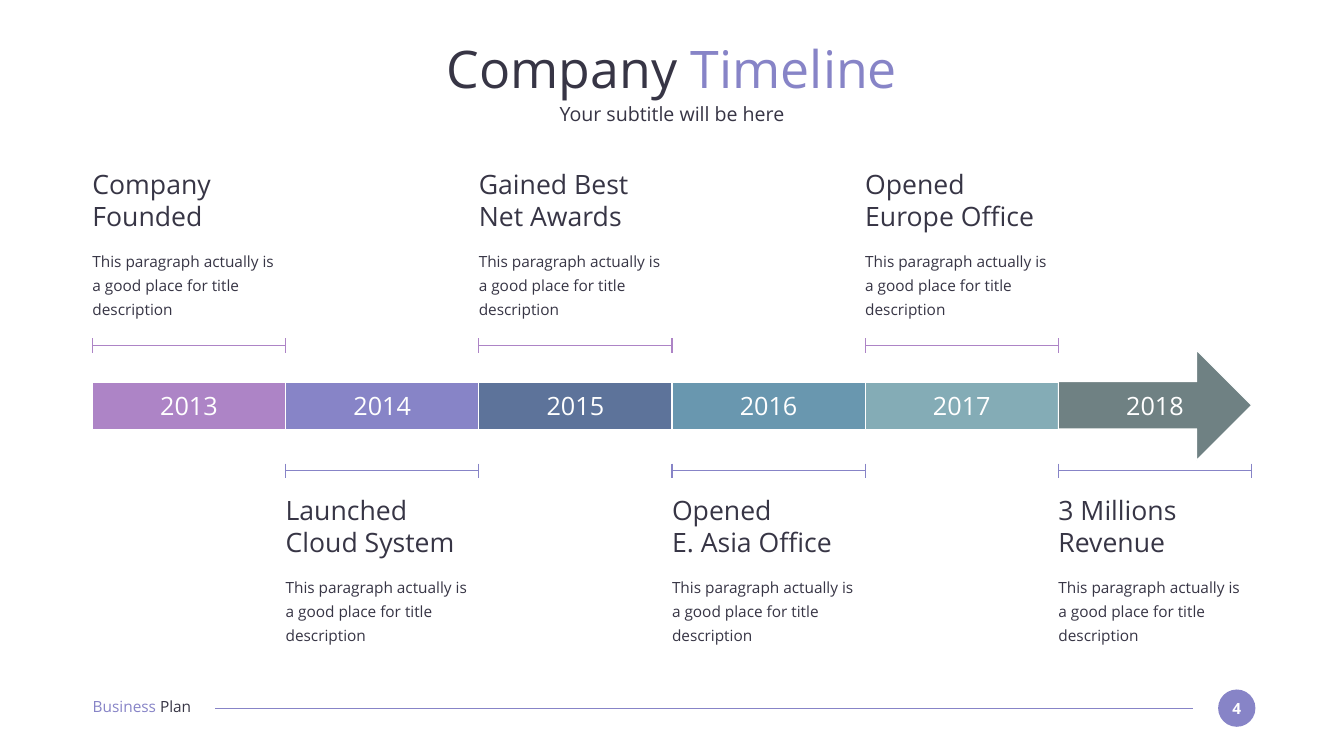
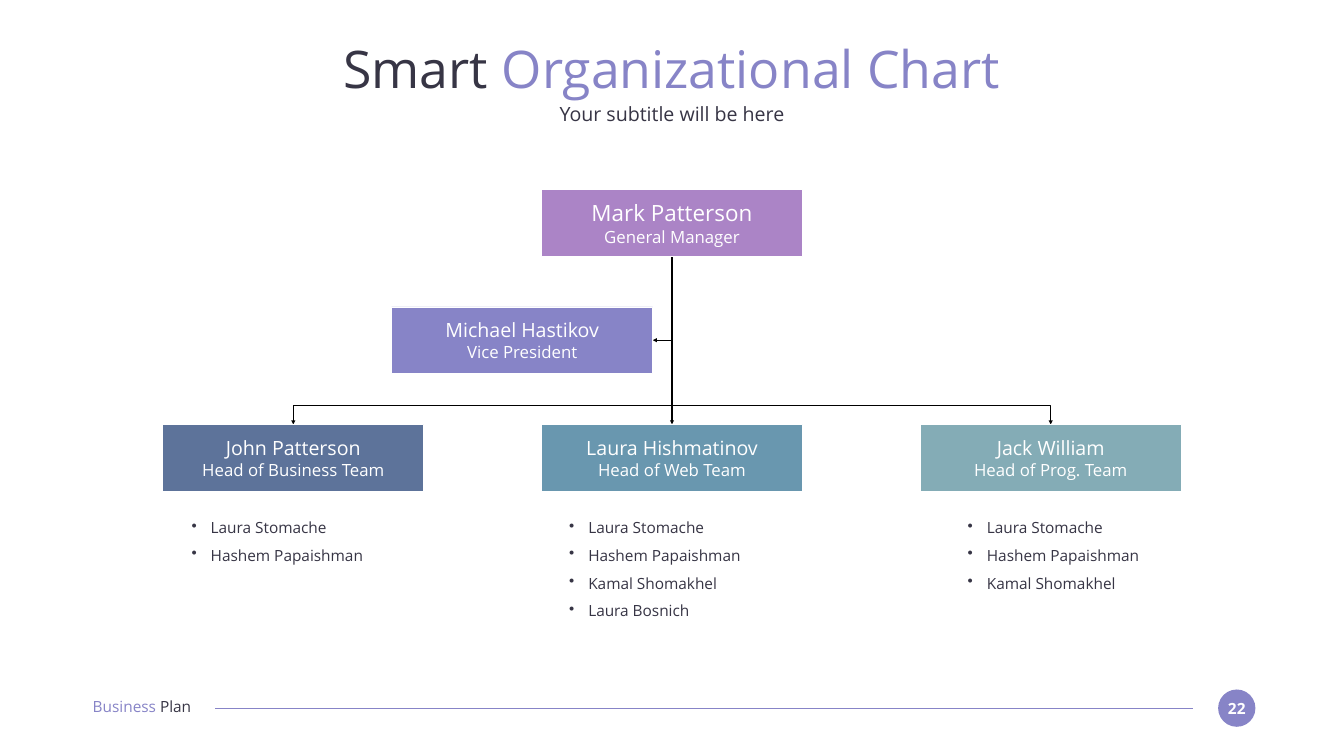
"""Build a company timeline slide and an organizational chart slide."""
from dataclasses import dataclass
from typing import Any, NamedTuple

from lxml.etree import SubElement
from pptx import Presentation
from pptx.dml.color import RGBColor
from pptx.enum.shapes import MSO_CONNECTOR, MSO_SHAPE
from pptx.enum.text import MSO_ANCHOR, PP_ALIGN
from pptx.oxml.ns import qn
from pptx.util import Pt

FONT = "Open Sans"
WHITE = RGBColor(0xFF, 0xFF, 0xFF)
BLACK = RGBColor(0, 0, 0)
INK = RGBColor(0x37, 0x35, 0x45)
ORCHID = RGBColor(0xAD, 0x84, 0xC6)
MANAGER_ORCHID = RGBColor(0xAB, 0x84, 0xC6)
VIOLET = RGBColor(0x87, 0x84, 0xC7)
NAVY = RGBColor(0x5D, 0x73, 0x9A)
STEEL = RGBColor(0x69, 0x97, 0xAF)
TEAL = RGBColor(0x84, 0xAC, 0xB6)
SLATE = RGBColor(0x6F, 0x81, 0x83)

MARGIN = 132
CONTENT_WIDTH = 1656
LINE_WIDTH = 1.5

STEP_WIDTH = 276
BAND_TOP, BAND_HEIGHT = 545.8, 67.7
ARROW_TOP, ARROW_HEIGHT = 500.4, 157
TICK = 10.4
DESCRIPTION = "This paragraph actually is a good place for title description"

CENTER = 960
TEAM_PITCH = 541
NODE_WIDTH, NODE_HEIGHT = 373, 95
MANAGER_TOP = 271.2
MANAGER_BOTTOM = MANAGER_TOP + NODE_HEIGHT - 0.5
DEPUTY_CENTER, DEPUTY_TOP = 746, 438.5
BRANCH_TOP, TEAM_TOP = 579, 606.4
MEMBERS_TOP = 727.2
MEMBER_INDENT = 27.4
MEMBERS = ["Laura Stomache", "Hashem Papaishman", "Kamal Shomakhel", "Laura Bosnich"]


class Area(NamedTuple):
    """A rectangle in points."""

    left: float
    top: float
    width: float
    height: float


class Point(NamedTuple):
    """A position in points."""

    x: float
    y: float


class Side(NamedTuple):
    """Where the milestones on one side of the band go."""

    heading_top: float
    bracket_y: float
    color: RGBColor


@dataclass(frozen=True)
class Milestone:
    """One year of the timeline."""

    year: str
    heading: tuple[str, ...]
    color: RGBColor


@dataclass(frozen=True)
class Person:
    """One node of the organizational chart."""

    name: str
    role: str
    color: RGBColor
    name_size: float = 28


@dataclass(frozen=True)
class Team:
    """A team head with the list of members below."""

    head: Person
    members_left: float
    member_count: int


ABOVE = Side(240.5, 493.9, ORCHID)
BELOW = Side(705.8, 672.6, VIOLET)

MILESTONES = [
    Milestone("2013", ("Company Founded",), ORCHID),
    Milestone("2014", ("Launched Cloud System",), VIOLET),
    Milestone("2015", ("Gained Best", "Net Awards"), NAVY),
    Milestone("2016", ("Opened", "E. Asia Office"), STEEL),
    Milestone("2017", ("Opened", "Europe Office"), TEAL),
    Milestone("2018", ("3 Millions", "Revenue"), SLATE),
]

MANAGER = Person("Mark Patterson", "General Manager", MANAGER_ORCHID, 32)
DEPUTY = Person("Michael Hastikov", "Vice President", VIOLET)
TEAMS = [
    Team(Person("John Patterson", "Head of Business Team", NAVY), 273.6, 2),
    Team(Person("Laura Hishmatinov", "Head of Web Team", STEEL), 813, 4),
    Team(Person("Jack William", "Head of Prog. Team", TEAL), 1382.4, 3),
]


def points(*values: float) -> list[Pt]:
    """Turn numbers into lengths in points."""
    return [Pt(value) for value in values]


def clear_insets(frame: Any) -> None:
    """Wrap the text and remove the inner margins."""
    frame.word_wrap = True
    frame.margin_left = frame.margin_top = frame.margin_right = frame.margin_bottom = 0


def style(para: Any, size: float, color: RGBColor | None = None,
          align: PP_ALIGN = PP_ALIGN.LEFT, bold: bool = False) -> None:
    """Set alignment and font of a paragraph."""
    para.alignment = align
    para.font.name = FONT
    para.font.size = Pt(size)
    para.font.bold = bold
    if color is not None:
        para.font.color.rgb = color


def add_bullet(para: Any) -> None:
    """Give a paragraph a hanging round bullet."""
    properties = para._p.get_or_add_pPr()
    properties.set("marL", str(Pt(MEMBER_INDENT)))
    properties.set("indent", str(-Pt(MEMBER_INDENT)))
    color = SubElement(properties, qn("a:buClr"))
    SubElement(color, qn("a:srgbClr")).set("val", str(INK))
    SubElement(properties, qn("a:buChar")).set("char", "•")


def add_text(page: Any, area: Area, lines: tuple[str, ...] | list[str], size: float,
             color: RGBColor = INK, align: PP_ALIGN = PP_ALIGN.LEFT,
             spacing: float = 1, bulleted: bool = False) -> None:
    """Add a text box with one paragraph for each line."""
    frame = page.shapes.add_textbox(*points(*area)).text_frame
    clear_insets(frame)
    frame.text = "\n".join(lines)
    for para in frame.paragraphs:
        para.line_spacing = spacing
        if bulleted:
            add_bullet(para)
        style(para, size, color, align)


def add_two_tone(page: Any, area: Area, dark: str, accent: str, size: float,
                 align: PP_ALIGN, accent_first: bool = False) -> None:
    """Add one line of text in ink and accent colours."""
    frame = page.shapes.add_textbox(*points(*area)).text_frame
    clear_insets(frame)
    para = frame.paragraphs[0]
    style(para, size, align=align)
    parts = [(dark, INK), (accent, VIOLET)]
    for text, color in reversed(parts) if accent_first else parts:
        span = para.add_run()
        span.text = text
        span.font.color.rgb = color


def add_block(page: Any, kind: MSO_SHAPE, area: Area, fill: RGBColor,
              line_width: float = 0) -> Any:
    """Add a filled shape with an optional white outline."""
    block = page.shapes.add_shape(kind, *points(*area))
    block.shadow.inherit = False
    block.fill.solid()
    block.fill.fore_color.rgb = fill
    if line_width:
        block.line.color.rgb = WHITE
        block.line.width = Pt(line_width)
    else:
        block.line.fill.background()
    clear_insets(block.text_frame)
    block.text_frame.vertical_anchor = MSO_ANCHOR.MIDDLE
    return block


def set_line(shape: Any, color: RGBColor, arrow: bool = False) -> None:
    """Set the stroke of a line and its arrowhead."""
    shape.line.color.rgb = color
    shape.line.width = Pt(LINE_WIDTH)
    if arrow:
        outline = shape.element.spPr.find(qn("a:ln"))
        SubElement(outline, qn("a:tailEnd")).set("type", "triangle")


def add_line(holder: Any, start: Point, end: Point, color: RGBColor,
             arrow: bool = False) -> None:
    """Add a straight line to a page or group."""
    line = holder.shapes.add_connector(MSO_CONNECTOR.STRAIGHT, *points(*start, *end))
    set_line(line, color, arrow)
    SubElement(line.element.spPr, qn("a:effectLst"))


def add_branch(page: Any, *corners: Point) -> None:
    """Add a bent arrow through the given corners."""
    first, *others = [tuple(points(*corner)) for corner in corners]
    builder = page.shapes.build_freeform(*first)
    builder.add_line_segments(others, close=False)
    branch = builder.convert_to_shape()
    branch.shadow.inherit = False
    branch.fill.background()
    set_line(branch, BLACK, arrow=True)


def add_page(deck: Any, number: int, dark: str, accent: str) -> Any:
    """Add a page with footer, title and subtitle."""
    page = deck.slides.add_slide(deck.slide_layouts[6])
    badge = add_block(page, MSO_SHAPE.OVAL, Area(1740.2, 985, 53.3, 53.3), VIOLET)
    badge.text_frame.text = str(number)
    style(badge.text_frame.paragraphs[0], 22, WHITE, PP_ALIGN.CENTER, bold=True)
    add_line(page, Point(1704.2, 1011.6), Point(307.4, 1011.6), VIOLET)
    add_two_tone(page, Area(132.5, 996.5, 186.5, 26.6), "Plan", "Business ", 22,
                 PP_ALIGN.LEFT, accent_first=True)
    add_two_tone(page, Area(MARGIN, 52.6, CONTENT_WIDTH, 91.4), dark, accent, 74,
                 PP_ALIGN.CENTER)
    add_text(page, Area(MARGIN, 146.2, CONTENT_WIDTH, 35.3),
             ["Your subtitle will be here"], 28, align=PP_ALIGN.CENTER)
    return page


def add_milestone(page: Any, index: int, milestone: Milestone) -> None:
    """Add one year block with its bracket, heading and description."""
    left = MARGIN + index * STEP_WIDTH
    right = left + STEP_WIDTH
    side = BELOW if index % 2 else ABOVE
    if index == len(MILESTONES) - 1:
        arrow = add_block(page, MSO_SHAPE.RIGHT_ARROW,
                          Area(left, ARROW_TOP, STEP_WIDTH, ARROW_HEIGHT),
                          milestone.color, LINE_WIDTH)
        arrow.adjustments[0] = 0.43
    else:
        add_block(page, MSO_SHAPE.RECTANGLE,
                  Area(left, BAND_TOP, STEP_WIDTH, BAND_HEIGHT),
                  milestone.color, LINE_WIDTH)
    add_text(page, Area(left + 73.5, 557.3, 129, 44), [milestone.year], 36, WHITE,
             PP_ALIGN.CENTER)
    bracket = page.shapes.add_group_shape()
    add_line(bracket, Point(left, side.bracket_y), Point(right, side.bracket_y), side.color)
    for x in (left, right):
        add_line(bracket, Point(x, side.bracket_y - TICK),
                 Point(x, side.bracket_y + TICK), side.color)
    add_text(page, Area(left, side.heading_top, STEP_WIDTH, 92.2), milestone.heading, 38)
    add_text(page, Area(left, side.heading_top + 112, STEP_WIDTH, 103.7),
             [DESCRIPTION], 22, spacing=1.3)


def add_person(page: Any, center: float, top: float, person: Person) -> None:
    """Add a node with name and role."""
    area = Area(center - NODE_WIDTH / 2, top, NODE_WIDTH, NODE_HEIGHT)
    frame = add_block(page, MSO_SHAPE.RECTANGLE, area, person.color, 1).text_frame
    frame.text = f"{person.name}\n{person.role}"
    for para, size in zip(frame.paragraphs, (person.name_size, 24)):
        style(para, size, WHITE, PP_ALIGN.CENTER)


def build_timeline(deck: Any) -> None:
    """Build the timeline page."""
    page = add_page(deck, 4, "Company ", "Timeline")
    for index, milestone in enumerate(MILESTONES):
        add_milestone(page, index, milestone)


def build_chart(deck: Any) -> None:
    """Build the organizational chart page."""
    page = add_page(deck, 22, "Smart ", "Organizational Chart")
    root = Point(CENTER, MANAGER_BOTTOM)
    deputy_middle = DEPUTY_TOP + NODE_HEIGHT / 2
    add_branch(page, root, Point(CENTER, deputy_middle),
               Point(DEPUTY_CENTER + NODE_WIDTH / 2, deputy_middle))
    centers = [CENTER + step * TEAM_PITCH for step in (-1, 0, 1)]
    for center in centers:
        if center == CENTER:
            add_line(page, root, Point(center, TEAM_TOP), BLACK, arrow=True)
        else:
            add_branch(page, root, Point(CENTER, BRANCH_TOP), Point(center, BRANCH_TOP),
                       Point(center, TEAM_TOP))
    add_person(page, CENTER, MANAGER_TOP, MANAGER)
    add_person(page, DEPUTY_CENTER, DEPUTY_TOP, DEPUTY)
    for center, team in zip(centers, TEAMS):
        add_person(page, center, TEAM_TOP, team.head)
        add_text(page, Area(team.members_left, MEMBERS_TOP, 276, 40 * team.member_count),
                 MEMBERS[:team.member_count], 22, spacing=1.5, bulleted=True)


def main() -> None:
    """Build and save the deck."""
    deck = Presentation()
    deck.slide_width, deck.slide_height = points(1920, 1080)
    build_timeline(deck)
    build_chart(deck)
    deck.save("out.pptx")


if __name__ == "__main__":
    main()
